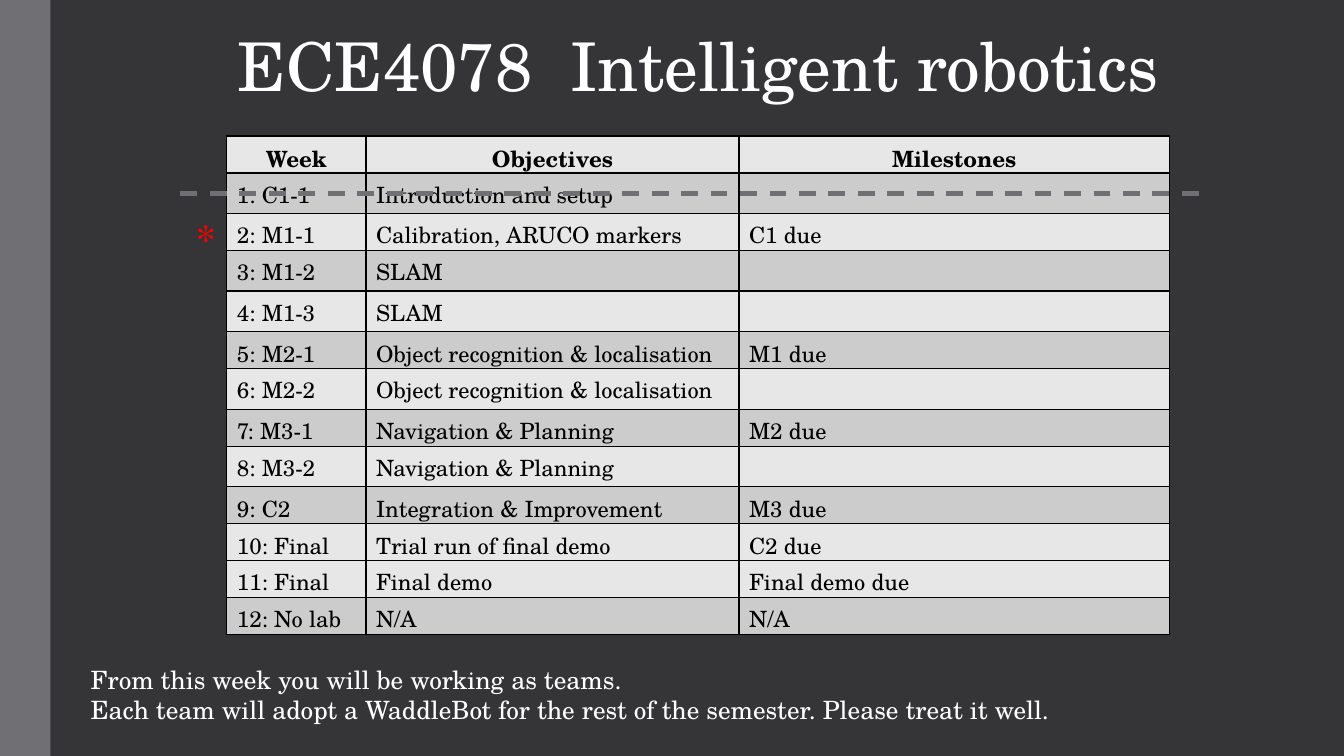
from lxml.etree import SubElement
from pptx import Presentation
from pptx.dml.color import RGBColor
from pptx.enum.dml import MSO_LINE_DASH_STYLE as DASH
from pptx.enum.shapes import MSO_CONNECTOR as CONN, MSO_SHAPE as SHAPE
from pptx.enum.text import MSO_ANCHOR as ANCHOR, MSO_AUTO_SIZE as AUTO, PP_ALIGN as ALIGN
from pptx.oxml.ns import qn
from pptx.util import Inches, Pt


def rgb(value):
    return RGBColor.from_string(value)


class Deck:
    """Slide builder whose lengths are percentages of the slide's size."""

    font = "TeX Gyre Schola"
    dark, grey, white, black, red = "353537", "6F6F74", "FFFFFF", "000000", "FF0000"
    bands = "E7E7E7", "CCCCCC"

    def __init__(self):
        self.prs = Presentation()
        self.prs.slide_width, self.prs.slide_height = Inches(13.33), Inches(7.5)
        self.s = self.prs.slides.add_slide(self.prs.slide_layouts[5])
        fill = self.s.background.fill
        fill.solid()
        fill.fore_color.rgb = rgb(self.dark)

    def x(self, share):
        return round(self.prs.slide_width * share / 100)

    def y(self, share):
        return round(self.prs.slide_height * share / 100)

    def box(self, left, top, width, height):
        return self.x(left), self.y(top), self.x(width), self.y(height)

    def set_text(self, tf, lines, size, color, bold=False, align=ALIGN.LEFT):
        tf.text = "\n".join(lines)
        for p in tf.paragraphs:
            p.alignment = align
            for font in [p.font] + [r.font for r in p.runs]:
                font.name, font.size, font.bold = self.font, Pt(size), bold
                font.color.rgb = rgb(color)

    def title(self, text, *area):
        sp = self.s.shapes.title
        sp.left, sp.top, sp.width, sp.height = self.box(*area)
        tf = sp.text_frame
        tf.auto_size, tf.vertical_anchor = AUTO.NONE, ANCHOR.MIDDLE
        self.set_text(tf, [text], 48, self.white, align=ALIGN.CENTER)

    def bar(self, *area):
        sp = self.s.shapes.add_shape(SHAPE.RECTANGLE, *self.box(*area))
        sp.shadow.inherit = False
        sp.fill.solid()
        sp.fill.fore_color.rgb = rgb(self.grey)
        sp.line.fill.background()

    def text(self, lines, size, color, *area):
        tf = self.s.shapes.add_textbox(*self.box(*area)).text_frame
        tf.word_wrap = True
        self.set_text(tf, lines, size, color)

    def border(self, cell):
        tc_pr = cell._tc.get_or_add_tcPr()
        for tag in ("a:lnL", "a:lnR", "a:lnT", "a:lnB"):
            ln = SubElement(tc_pr, qn(tag), w=str(Pt(0.96)))
            SubElement(SubElement(ln, qn("a:solidFill")), qn("a:srgbClr"), val=self.black)

    def table(self, rows, shaded, left, top, widths, heights):
        area = self.box(left, top, sum(widths), sum(heights))
        table = self.s.shapes.add_table(len(rows), len(widths), *area).table
        for col, width in zip(table.columns, widths):
            col.width = self.x(width)
        for i, (row, values) in enumerate(zip(table.rows, rows)):
            row.height = self.y(heights[i])
            for cell, value in zip(row.cells, values):
                self.border(cell)
                cell.fill.solid()
                cell.fill.fore_color.rgb = rgb(self.bands[i in shaded])
                if value:
                    align = ALIGN.LEFT if i else ALIGN.CENTER
                    self.set_text(cell.text_frame, [value], 16, self.black, i == 0, align)

    def dashed_line(self, x1, x2, y):
        ends = self.x(x1), self.y(y), self.x(x2), self.y(y)
        line = self.s.shapes.add_connector(CONN.STRAIGHT, *ends)
        line.line.color.rgb = rgb(self.grey)
        line.line.width, line.line.dash_style = Pt(3), DASH.DASH
        SubElement(line._element.spPr, qn("a:effectLst"))


SCHEDULE = [
    ("Week", "Objectives", "Milestones"),
    ("1: C1-1", "Introduction and setup", ""),
    ("2: M1-1", "Calibration, ARUCO markers", "C1 due"),
    ("3: M1-2", "SLAM", ""),
    ("4: M1-3", "SLAM", ""),
    ("5: M2-1", "Object recognition & localisation", "M1 due"),
    ("6: M2-2", "Object recognition & localisation", ""),
    ("7: M3-1", "Navigation & Planning", "M2 due"),
    ("8: M3-2", "Navigation & Planning", ""),
    ("9: C2", "Integration & Improvement", "M3 due"),
    ("10: Final", "Trial run of final demo", "C2 due"),
    ("11: Final", "Final demo", "Final demo due"),
    ("12: No lab", "N/A", "N/A"),
]
SHADED_WEEKS = 1, 3, 5, 7, 9, 12
NOTES = [
    "From this week you will be working as teams.",
    "Each team will adopt a WaddleBot for the rest of the semester. Please treat it well.",
]


def main():
    deck = Deck()
    deck.bar(0, 0, 3.75, 100)
    deck.title("ECE4078  Intelligent robotics", 3.9, 2.53, 96.1, 12.13)
    deck.text(["*"], 28, deck.red, 13.88, 27.87, 6.9, 7.6)
    deck.text(NOTES, 18, deck.white, 6, 87.2, 88, 9.47)
    heights = [4.89 if milestone else 5.36 for *_, milestone in SCHEDULE]
    deck.table(SCHEDULE, SHADED_WEEKS, 16.88, 18, (10.35, 27.76, 32.03), heights)
    deck.dashed_line(13.43, 90, 25.6)
    deck.prs.save("out.pptx")


if __name__ == "__main__":
    main()
